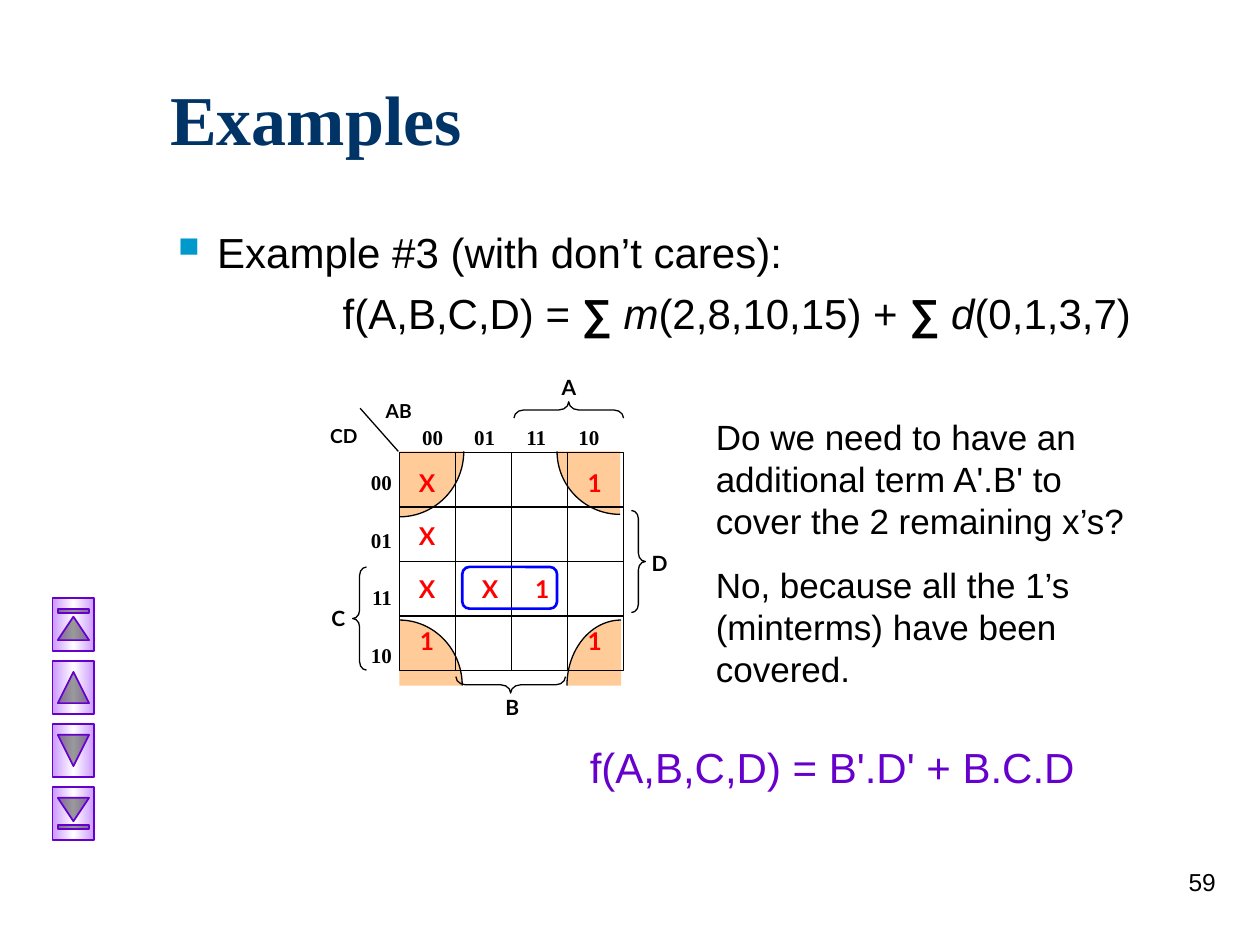
from copy import deepcopy

from lxml import etree
from pptx import Presentation
from pptx.dml.color import RGBColor
from pptx.enum.shapes import MSO_CONNECTOR, MSO_SHAPE
from pptx.enum.text import MSO_ANCHOR, PP_ALIGN
from pptx.oxml.ns import qn
from pptx.util import Cm, Pt

LEFT, CENTER, RIGHT = PP_ALIGN.LEFT, PP_ALIGN.CENTER, PP_ALIGN.RIGHT
MIDDLE = MSO_ANCHOR.MIDDLE
STRAIGHT = MSO_CONNECTOR.STRAIGHT
RECTANGLE, ROUNDED, ARC = MSO_SHAPE.RECTANGLE, MSO_SHAPE.ROUNDED_RECTANGLE, MSO_SHAPE.ARC
LEFT_BRACE, RIGHT_BRACE = MSO_SHAPE.LEFT_BRACE, MSO_SHAPE.RIGHT_BRACE
BUTTONS = (
    MSO_SHAPE.ACTION_BUTTON_BEGINNING,
    MSO_SHAPE.ACTION_BUTTON_BACK_OR_PREVIOUS,
    MSO_SHAPE.ACTION_BUTTON_FORWARD_OR_NEXT,
    MSO_SHAPE.ACTION_BUTTON_END,
)
COLORS = {
    "title": "003366", "text": "000000", "bullet": "0099CC", "mark": "FF0000",
    "wedge": "FFCC99", "loop": "0000FF", "accent": "6600CC",
    "button": "CC99FF", "shine": "FFFFFF",
}
SANS, SERIF, LABEL = "Arial", "Times New Roman", "Lato"


class SlideBuilder:
    def __init__(self, slide):
        self.slide = slide

    def color(self, name):
        return RGBColor.from_string(COLORS[name])

    def style(self, font, size, name, color="text", bold=False):
        font.size = Pt(size)
        font.name = name
        font.bold = bold
        font.color.rgb = self.color(color)

    def title(self, text, box):
        shape = self.slide.shapes.title
        shape.left, shape.top, shape.width, shape.height = map(Cm, box)
        shape.text_frame.text = text
        shape.text_frame.vertical_anchor = MIDDLE
        paragraph = shape.text_frame.paragraphs[0]
        paragraph.alignment = LEFT
        self.style(paragraph.runs[0].font, 40, SERIF, "title", True)

    def text(self, text, box, size, name=SANS, color="text", bold=False, align=LEFT, gap=0):
        text_frame = self.slide.shapes.add_textbox(*map(Cm, box)).text_frame
        text_frame.word_wrap = True
        text_frame.text = text
        for index, paragraph in enumerate(text_frame.paragraphs):
            paragraph.alignment = align
            if index:
                paragraph.space_before = Pt(gap)
            for run in paragraph.runs:
                self.style(run.font, size, name, color, bold)
        return text_frame

    def indent(self, paragraph, left, first=0):
        properties = paragraph._p.get_or_add_pPr()
        properties.set("marL", str(Cm(left)))
        properties.set("indent", str(Cm(first)))
        return properties

    def bullet(self, paragraph, character):
        properties = self.indent(paragraph, 0.95, -0.95)
        color = etree.SubElement(properties, qn("a:buClr"))
        etree.SubElement(color, qn("a:srgbClr"), val=COLORS["bullet"])
        etree.SubElement(properties, qn("a:buSzPct"), val="120000")
        etree.SubElement(properties, qn("a:buChar"), char=character)

    def tabs(self, paragraph, positions):
        tab_list = etree.SubElement(paragraph._p.get_or_add_pPr(), qn("a:tabLst"))
        for position in positions:
            etree.SubElement(tab_list, qn("a:tab"), pos=str(Cm(position)), algn="l")

    def shape(self, kind, box, line="text", width=0.75, fill=None, rotation=0, adjustments=()):
        shape = self.slide.shapes.add_shape(kind, *map(Cm, box))
        shape.shadow.inherit = False
        shape.rotation = rotation
        shape.line.color.rgb = self.color(line)
        shape.line.width = Pt(width)
        for index, value in enumerate(adjustments):
            shape.adjustments[index] = value
        if fill:
            shape.fill.solid()
            shape.fill.fore_color.rgb = self.color(fill)
        else:
            shape.fill.background()
        return shape

    def wedge(self, x, y, radius_x, radius_y, start):
        box = (x - radius_x, y - radius_y, 2 * radius_x, 2 * radius_y)
        angles = [angle % 360 * 0.6 for angle in (start, start + 90)]
        self.shape(ARC, box, fill="wedge", adjustments=angles)

    def button(self, kind, box):
        fill = self.shape(kind, box, "accent", 1, "button", 90).fill
        fill.gradient()
        fill.gradient_angle = 90
        first, last = fill.gradient_stops
        first.color.rgb = last.color.rgb = self.color("button")
        first.position, last.position = 0, 1
        stops = self.slide.shapes[-1]._element.spPr.find(".//" + qn("a:gsLst"))
        stops.insert(1, deepcopy(stops[0]))
        middle = fill.gradient_stops[1]
        middle.position = 0.5
        middle.color.rgb = self.color("shine")

    def line(self, start_x, start_y, end_x, end_y):
        ends = map(Cm, (start_x, start_y, end_x, end_y))
        connector = self.slide.shapes.add_connector(STRAIGHT, *ends)
        connector.line.color.rgb = self.color("text")
        connector.line.width = Pt(0.75)
        etree.SubElement(connector._element.spPr, qn("a:effectLst"))
        return connector

    def grid(self, left, top, column, row, count):
        right, bottom = left + count * column, top + count * row
        frame = self.shape(RECTANGLE, (left, top, right - left, bottom - top))
        for index in range(1, count):
            x, y = left + index * column, top + index * row
            vertical = self.line(x, top, x, bottom)
            horizontal = self.line(left, y, right, y)
            if 2 * index == count:
                for connector, begin, end in ((vertical, 0, 2), (horizontal, 1, 3)):
                    connector.begin_connect(frame, begin)
                    connector.end_connect(frame, end)


def add_problem(builder):
    text_frame = builder.text("Example #3 (with don’t cares):", (3.18, 4.45, 21.59, 3.18), 24)
    builder.bullet(text_frame.paragraphs[0], "▪")
    formula = text_frame.add_paragraph()
    builder.indent(formula, 3.48)
    formula.space_before = Pt(6)
    for text, bold, italic in (
        ("f(A,B,C,D) = ", False, False), ("∑ ", True, False), ("m", False, True),
        ("(2,8,10,15) + ", False, False), ("∑ ", True, False), ("d", False, True),
        ("(0,1,3,7)", False, False),
    ):
        run = formula.add_run()
        run.text = text
        builder.style(run.font, 24, SANS, bold=bold)
        run.font.italic = italic


def add_karnaugh_map(builder):
    for wedge in (
        (12.52, 13.82, 1.09, 1.32, 180), (8.05, 13.82, 1.27, 1.32, 270),
        (12.5, 9.1, 1.27, 1.27, 90), (8.05, 9.1, 1.3, 1.32, 0),
    ):
        builder.wedge(*wedge)
    builder.grid(8.05, 9.12, 1.13, 1.1, 4)
    builder.line(8.03, 9.1, 7.26, 8.23)

    mark_lefts = (8.05, 9.32, 10.37, 11.43)
    for row, marks in enumerate(("X  1", "X   ", "XX1 ", "1  1")):
        for left, mark in zip(mark_lefts, marks):
            if mark != " ":
                box = (left, 9.32 + 1.06 * row, 1.12, 0.89)
                builder.text(mark, box, 14, LABEL, "mark", True, CENTER)
    builder.shape(ROUNDED, (9.32, 11.43, 1.91, 0.84), "loop", 1.5, adjustments=[0.17])

    builder.text("00\n01\n11\n10", (7.16, 9.35, 0.99, 4.55), 12, SERIF, bold=True, align=RIGHT, gap=18.4)
    columns = builder.text("00\t01\t11\t10", (8.26, 8.43, 4.22, 0.89), 12, SERIF, bold=True)
    builder.tabs(columns.paragraphs[0], [1.05 * index for index in (1, 2, 3)])

    for kind, box, rotation in (
        (LEFT_BRACE, (7.11, 11.43, 0.28, 2.08), 0),
        (LEFT_BRACE, (11.3, 7.16, 0.33, 2.21), 90),
        (LEFT_BRACE, (10.13, 12.7, 0.33, 2.21), 270),
        (RIGHT_BRACE, (12.73, 10.29, 0.28, 2.06), 0),
    ):
        builder.shape(kind, box, rotation=rotation, adjustments=[0.6])

    for text, box, size in (
        ("A", (11.05, 7.42, 0.84, 0.69), 12), ("B", (9.91, 13.87, 0.84, 0.66), 12),
        ("C", (6.4, 12.09, 0.84, 0.89), 12), ("D", (12.88, 10.97, 0.84, 0.89), 12),
        ("CD", (6.15, 8.43, 1.57, 0.74), 11), ("AB", (7.39, 7.92, 1.3, 0.74), 11),
    ):
        builder.text(text, box, size, LABEL, bold=True, align=CENTER)


def main():
    presentation = Presentation()
    presentation.slide_width, presentation.slide_height = Cm(25.4), Cm(19.05)
    builder = SlideBuilder(presentation.slides.add_slide(presentation.slide_layouts[5]))
    builder.title("Examples", (3.18, 1.27, 21.59, 2.18))
    add_problem(builder)
    for index, kind in enumerate(BUTTONS):
        builder.button(kind, (0.95, 12.17 + 1.27 * index, 1.06, 0.84))
    add_karnaugh_map(builder)
    builder.text("f(A,B,C,D) = B'.D' + B.C.D", (11.64, 14.82, 11.23, 1.27), 24, color="accent")
    builder.text(
        "Do we need to have an additional term A'.B' to cover the 2 remaining x’s?\n"
        "No, because all the 1’s (minterms) have been covered.",
        (14.18, 8.26, 8.89, 5.79), 20, gap=12.5)
    builder.text("59", (19.48, 17.35, 5.28, 1.27), 14, align=RIGHT)
    presentation.save("out.pptx")


if __name__ == "__main__":
    main()
